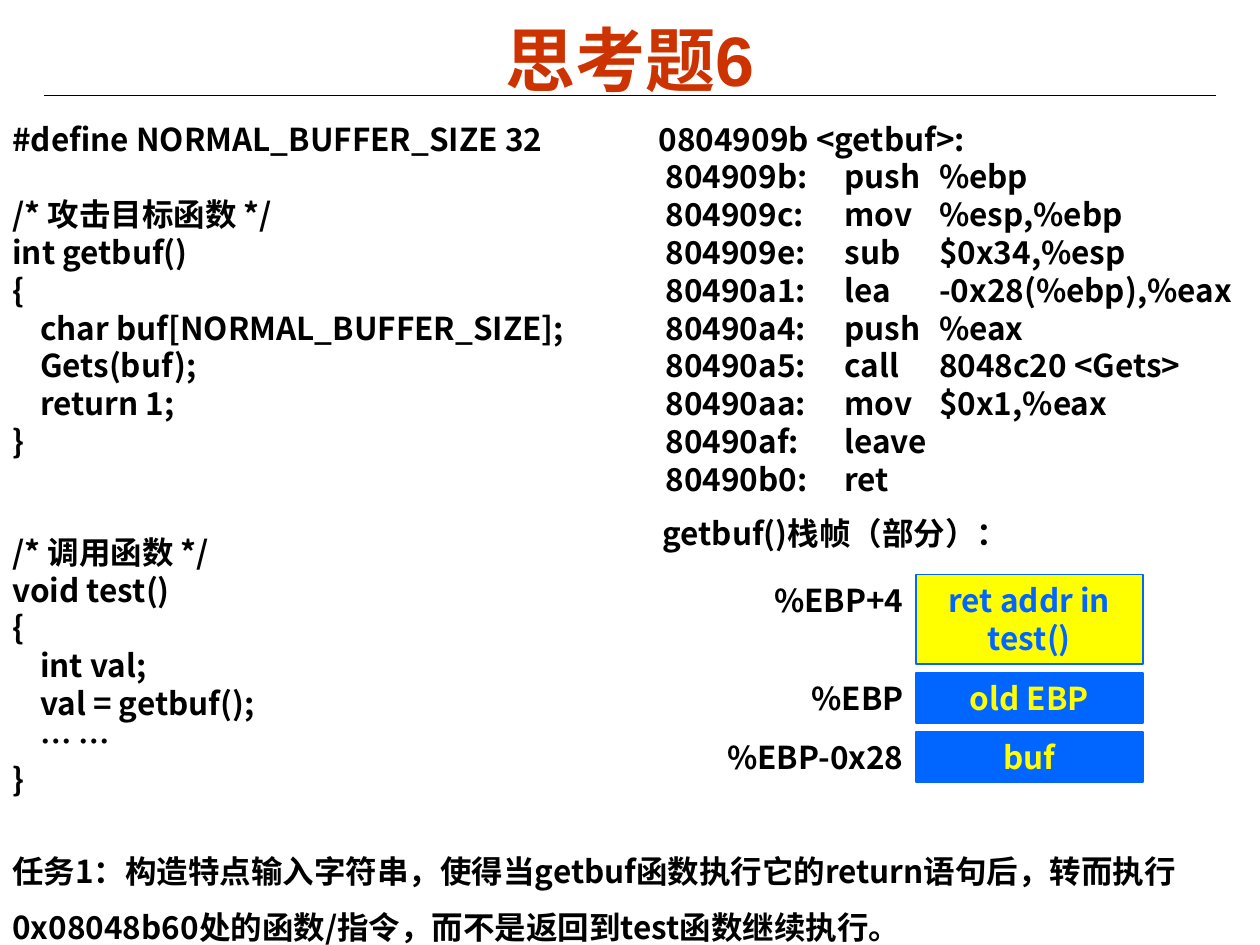
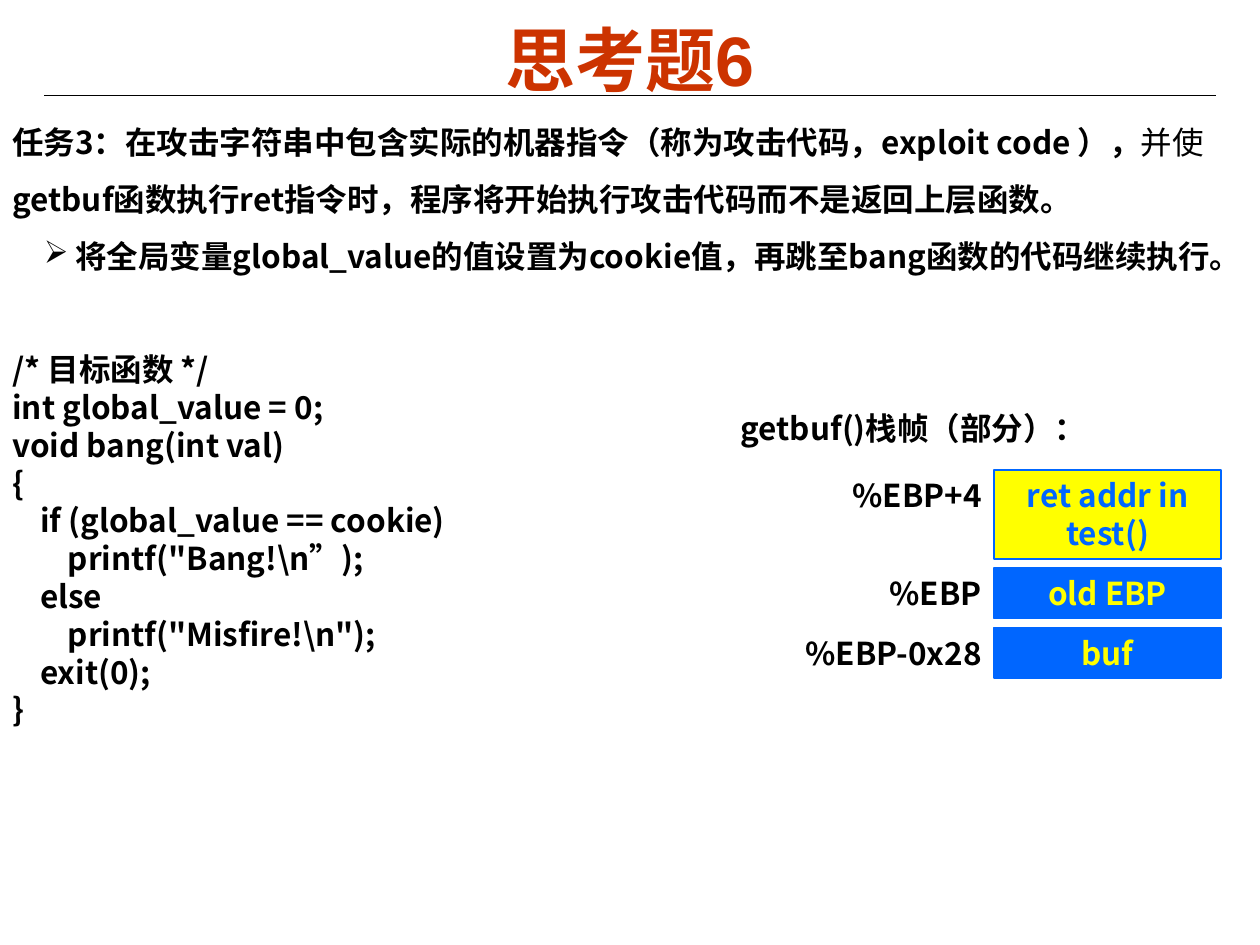
"""Build two slides on a buffer overflow exercise: code, stack frame and tasks."""
from dataclasses import dataclass

from lxml.etree import SubElement
from pptx import Presentation
from pptx.dml.color import RGBColor
from pptx.enum.shapes import MSO_CONNECTOR, MSO_SHAPE
from pptx.enum.text import MSO_ANCHOR, MSO_AUTO_SIZE, PP_ALIGN
from pptx.oxml import parse_xml
from pptx.oxml.ns import nsdecls, qn
from pptx.util import Inches, Pt


@dataclass(frozen=True)
class Theme:
    ink: RGBColor = RGBColor.from_string("000000")
    heading: RGBColor = RGBColor.from_string("CC3300")
    blue: RGBColor = RGBColor.from_string("0066FF")
    yellow: RGBColor = RGBColor.from_string("FFFF00")
    heading_font: str = "Arial"
    body_font: str = "Noto Sans CJK SC"
    heading_size: Pt = Pt(40)
    body_size: Pt = Pt(18)


THEME = Theme()
CODE_INDENT = Inches(0.22)
BLANK_LINE = Inches(0.3)
TAB_STOPS = (Inches(1.42), Inches(2.17))


def style(paragraph, color=THEME.ink, align=PP_ALIGN.LEFT,
          size=THEME.body_size, font=THEME.body_font):
    """Set the bold type of one paragraph and return its properties element."""
    paragraph.alignment = align
    paragraph.font.size = size
    paragraph.font.bold = True
    paragraph.font.color.rgb = color
    paragraph.font.name = font
    properties = paragraph._p.get_or_add_pPr()
    SubElement(properties.find(qn("a:defRPr")), qn("a:ea"), typeface=THEME.body_font)
    return properties


def add_text(slide, box, lines, align=PP_ALIGN.LEFT):
    """Add a text box; leading spaces become indents, empty lines become spacing."""
    frame = slide.shapes.add_textbox(*map(Inches, box)).text_frame
    frame.word_wrap = True
    paragraph, gap = frame.paragraphs[0], 0
    for number, line in enumerate(lines):
        if not line:
            gap += BLANK_LINE
            continue
        if number:
            paragraph = frame.add_paragraph()
        paragraph.text = line.lstrip(" ")
        properties = style(paragraph, align=align)
        spaces = len(line) - len(paragraph.text)
        properties.set("marL", str(CODE_INDENT * spaces // 4))
        if gap:
            paragraph.space_before, gap = gap, 0
        if "\t" in line:
            stops = "".join(f'<a:tab pos="{stop}" algn="l"/>' for stop in TAB_STOPS)
            properties.find(qn("a:defRPr")).addprevious(
                parse_xml(f'<a:tabLst {nsdecls("a")}>{stops}</a:tabLst>'))
    return frame


deck = Presentation()
deck.slide_width, deck.slide_height = Inches(10), Inches(7.5)
title_only = deck.slide_layouts[5]
for footer in list(title_only.placeholders)[1:]:
    footer.element.getparent().remove(footer.element)

redirect, exploit = [deck.slides.add_slide(title_only) for _ in range(2)]

rule = redirect.shapes.add_connector(
    MSO_CONNECTOR.STRAIGHT, Inches(0.35), Inches(0.76), Inches(9.65), Inches(0.76))
rule.line.color.rgb = THEME.ink
rule.line.width = Pt(0.75)
SubElement(rule.element.spPr, qn("a:effectLst"))
title_only.shapes.element.append(rule.element)

for slide in (redirect, exploit):
    heading = slide.shapes.title
    heading.left, heading.top = Inches(0.5), Inches(0.16)
    heading.width, heading.height = Inches(9), Inches(0.61)
    heading.text_frame.text = "思考题6"
    heading.text_frame.auto_size = MSO_AUTO_SIZE.NONE
    heading.text_frame.vertical_anchor = MSO_ANCHOR.MIDDLE
    style(heading.text_frame.paragraphs[0], THEME.heading, PP_ALIGN.CENTER,
          THEME.heading_size, THEME.heading_font)

getbuf_source = """#define NORMAL_BUFFER_SIZE 32

/* 攻击目标函数 */
int getbuf()
{
    char buf[NORMAL_BUFFER_SIZE];
    Gets(buf);
    return 1;
}"""
test_source = """/* 调用函数 */
void test()
{
    int val;
    val = getbuf();
    … …
}"""
bang_source = r"""/* 目标函数 */
int global_value = 0;
void bang(int val)
{
    if (global_value == cookie)
        printf("Bang!\n”);
    else
        printf("Misfire!\n");
    exit(0);
}"""
for slide, box, source in (
    (redirect, (0, 0.9, 4.75, 2.83), getbuf_source),
    (redirect, (0, 4.18, 2.33, 2.22), test_source),
    (exploit, (0, 2.73, 3.91, 3.13), bang_source),
):
    add_text(slide, box, source.splitlines())

instructions = (
    ("804909b:", "push", "%ebp"),
    ("804909c:", "mov", "%esp,%ebp"),
    ("804909e:", "sub", "$0x34,%esp"),
    ("80490a1:", "lea", "-0x28(%ebp),%eax"),
    ("80490a4:", "push", "%eax"),
    ("80490a5:", "call", "8048c20 <Gets>"),
    ("80490aa:", "mov", "$0x1,%eax"),
    ("80490af:", "leave"),
    ("80490b0:", "ret"),
)
add_text(redirect, (5.13, 0.9, 4.87, 3.13),
         ["0804909b <getbuf>:"] + [" " + "\t".join(parts) for parts in instructions])

stack_cells = (
    ("%EBP+4", "ret addr in test()", 0.71, THEME.yellow, THEME.blue),
    ("%EBP", "old EBP", 0.4, THEME.blue, THEME.yellow),
    ("%EBP-0x28", "buf", 0.4, THEME.blue, THEME.yellow),
)
for slide, left, top in ((redirect, 5.16, 4.03), (exploit, 5.78, 3.2)):
    add_text(slide, (left, top, 3.03, 0.4), ["getbuf()栈帧（部分）："])
    address_left, cell_top, column = left + 0.31, top + 0.53, 1.8
    for address, content, height, fill, ink in stack_cells:
        add_text(slide, (address_left, cell_top, column, 0.4), [address], PP_ALIGN.RIGHT)
        cell = slide.shapes.add_shape(
            MSO_SHAPE.RECTANGLE, Inches(address_left + column), Inches(cell_top),
            Inches(column), Inches(height))
        cell.shadow.inherit = False
        cell.fill.solid()
        cell.fill.fore_color.rgb = fill
        cell.line.color.rgb = THEME.blue
        cell.line.width = Pt(1)
        cell.text_frame.text = content
        cell.text_frame.vertical_anchor = MSO_ANCHOR.TOP
        style(cell.text_frame.paragraphs[0], ink, PP_ALIGN.CENTER)
        cell_top += height + 0.07

redirect_task = add_text(redirect, (0, 6.56, 10, 0.95), [
    "任务1：构造特点输入字符串，使得当getbuf函数执行它的return语句后，"
    "转而执行0x08048b60处的函数/指令，而不是返回到test函数继续执行。"])
exploit_task = add_text(exploit, (0, 0.78, 10, 1.46), [
    "任务3：在攻击字符串中包含实际的机器指令（称为攻击代码，exploit code ），",
    "将全局变量global_value的值设置为cookie值，再跳至bang函数的代码继续执行。"])
for paragraph in redirect_task.paragraphs + exploit_task.paragraphs:
    paragraph.line_spacing = 1.5

goal, step = exploit_task.paragraphs
light = goal.add_run()
light.text = "并使"
light.font.bold = False
goal.add_run().text = "getbuf函数执行ret指令时，程序将开始执行攻击代码而不是返回上层函数。"

step.level = 1
step_properties = step._p.get_or_add_pPr()
step_properties.set("marL", str(Inches(0.5)))
step_properties.set("indent", str(-Inches(0.25)))
step_properties.find(qn("a:defRPr")).addprevious(
    parse_xml(f'<a:buChar {nsdecls("a")} char="➢"/>'))

deck.save("out.pptx")
